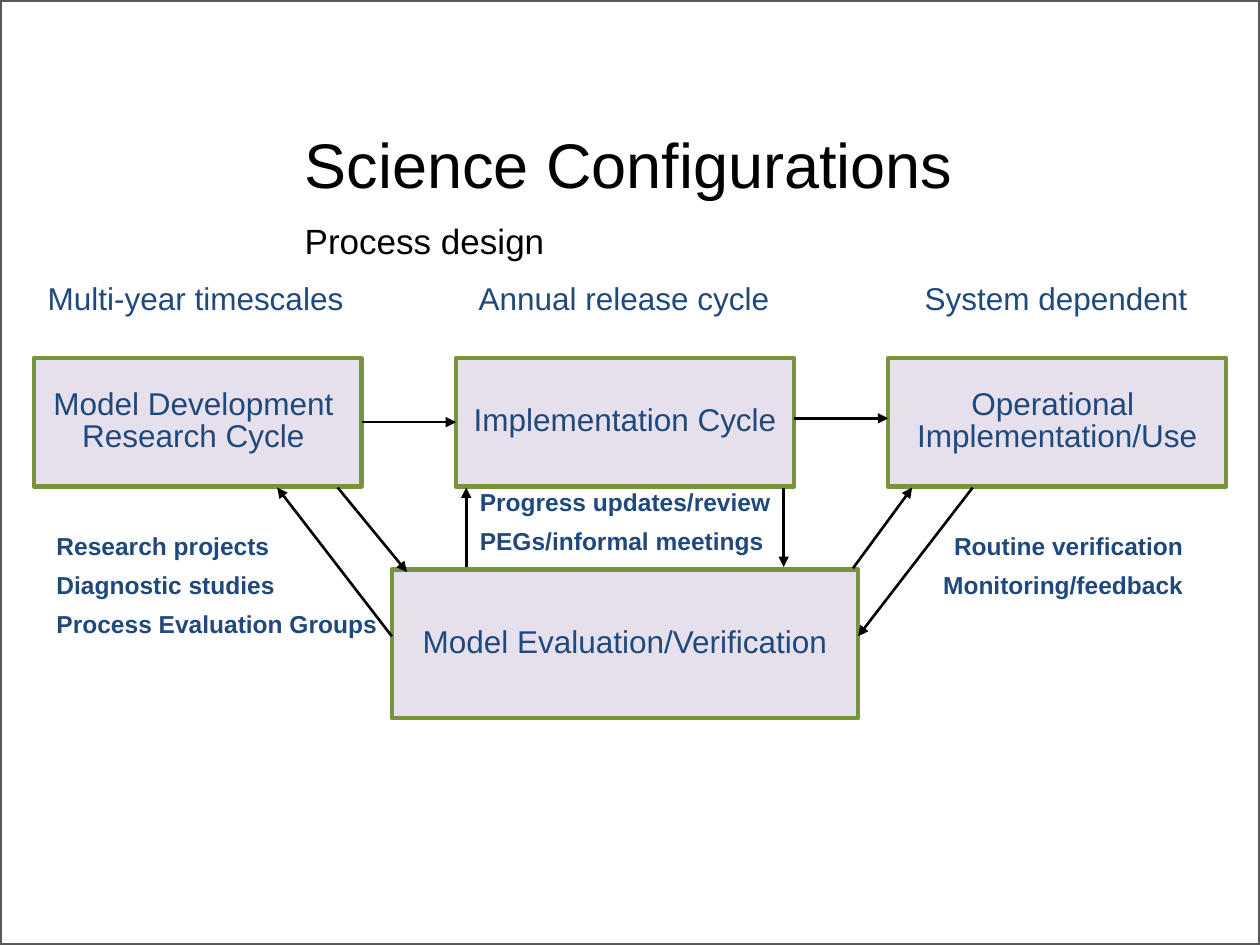
from pptx import Presentation
from pptx.dml.color import RGBColor
from pptx.enum.shapes import MSO_CONNECTOR, MSO_SHAPE
from pptx.enum.text import MSO_ANCHOR as ANCHOR, PP_ALIGN as ALIGN
from pptx.oxml.ns import qn
from pptx.util import Inches, Pt
from lxml.etree import SubElement

BLACK, NAVY, GREEN, LILAC = "000000", "1F497D", "77933C", "E6E0EC"


def color(value):
    return RGBColor.from_string(value)


def write(frame, text, size=18, ink=NAVY, bold=False, align=ALIGN.LEFT,
          anchor=ANCHOR.TOP, spacing=0.85, gap=0, wrap=True):
    frame.word_wrap = wrap
    frame.vertical_anchor = anchor
    for i, line in enumerate(text.split("\n")):
        paragraph = frame.add_paragraph() if i else frame.paragraphs[0]
        paragraph.alignment = align
        paragraph.line_spacing = spacing
        paragraph.space_before = Pt(gap if i else 0)
        run = paragraph.add_run()
        run.text = line
        run.font.name = "Arial"
        run.font.size = Pt(size)
        run.font.bold = bold
        run.font.color.rgb = color(ink)


prs = Presentation()
prs.slide_width, prs.slide_height = Inches(10), Inches(7.5)
slide = prs.slides.add_slide(prs.slide_layouts[6])
shapes = slide.shapes

# Slide border
border = shapes.add_shape(MSO_SHAPE.RECTANGLE, 0, 0, prs.slide_width, prs.slide_height)
border.shadow.inherit = False
border.fill.background()
border.line.color.rgb = color("595959")
border.line.width = Pt(2.25)

# Headings, timescales above the stages, and activity notes beside the arrows
notes = dict(size=14, bold=True, gap=8)
texts = [
    (2.32, 0.63, 7.64, 1.02, "Science Configurations",
     dict(size=36, ink=BLACK, anchor=ANCHOR.BOTTOM)),
    (2.32, 1.73, 7.64, 0.55, "Process design", dict(size=20, ink=BLACK, spacing=0.9)),
    (0.28, 2.21, 2.99, 0.36, "Multi-year timescales", {}),
    (3.7, 2.21, 2.52, 0.36, "Annual release cycle", {}),
    (7.24, 2.21, 2.4, 0.36, "System dependent", {}),
    (0.35, 4.2, 2.86, 0.94,
     "Research projects\nDiagnostic studies\nProcess Evaluation Groups", notes),
    (3.71, 3.85, 2.86, 0.94, "Progress updates/review\nPEGs/informal meetings", notes),
    (6.89, 4.2, 2.6, 2.66, "Routine verification\nMonitoring/feedback",
     dict(notes, align=ALIGN.RIGHT)),
]
for left, top, width, height, text, style in texts:
    box = shapes.add_textbox(Inches(left), Inches(top), Inches(width), Inches(height))
    write(box.text_frame, text, **style)

# Process stages
stages = {}
for name, left, top, width, height, text in [
    ("research", 0.27, 2.84, 2.6, 1.02, "Model Development \nResearch Cycle "),
    ("implementation", 3.62, 2.84, 2.68, 1.02, "Implementation Cycle"),
    ("operational", 7.05, 2.84, 2.68, 1.02, "Operational \nImplementation/Use"),
    ("evaluation", 3.11, 4.52, 3.7, 1.18, "Model Evaluation/Verification"),
]:
    stage = shapes.add_shape(MSO_SHAPE.RECTANGLE, Inches(left), Inches(top),
                             Inches(width), Inches(height))
    stage.shadow.inherit = False
    stage.fill.solid()
    stage.fill.fore_color.rgb = color(LILAC)
    stage.line.color.rgb = color(GREEN)
    stage.line.width = Pt(2.5)
    write(stage.text_frame, text, align=ALIGN.CENTER, anchor=ANCHOR.MIDDLE, wrap=False)
    stages[name] = stage

# Flow arrows; the first one joins two stages at mid-side
arrows = []
for x1, y1, x2, y2 in [
    (2.87, 3.35, 3.62, 3.35),  # research to implementation
    (6.3, 3.32, 7.05, 3.32),   # implementation to operational
    (2.68, 3.87, 3.23, 4.54),  # research to evaluation
    (3.11, 5.05, 2.2, 3.87),   # evaluation to research
    (3.7, 4.5, 3.7, 3.87),     # evaluation to implementation
    (6.22, 3.87, 6.22, 4.5),   # implementation to evaluation
    (6.77, 4.51, 7.24, 3.87),  # evaluation to operational
    (7.72, 3.87, 6.81, 5.05),  # operational to evaluation
]:
    arrow = shapes.add_connector(MSO_CONNECTOR.STRAIGHT, Inches(x1), Inches(y1),
                                 Inches(x2), Inches(y2))
    arrow.line.color.rgb = color(BLACK)
    arrow.line.width = Pt(1.5)
    SubElement(arrow.line._get_or_add_ln(), qn("a:tailEnd"), type="triangle")
    SubElement(arrow._element.spPr, qn("a:effectLst"))
    arrows.append(arrow)
arrows[0].begin_connect(stages["research"], 3)
arrows[0].end_connect(stages["implementation"], 1)

prs.save("out.pptx")
